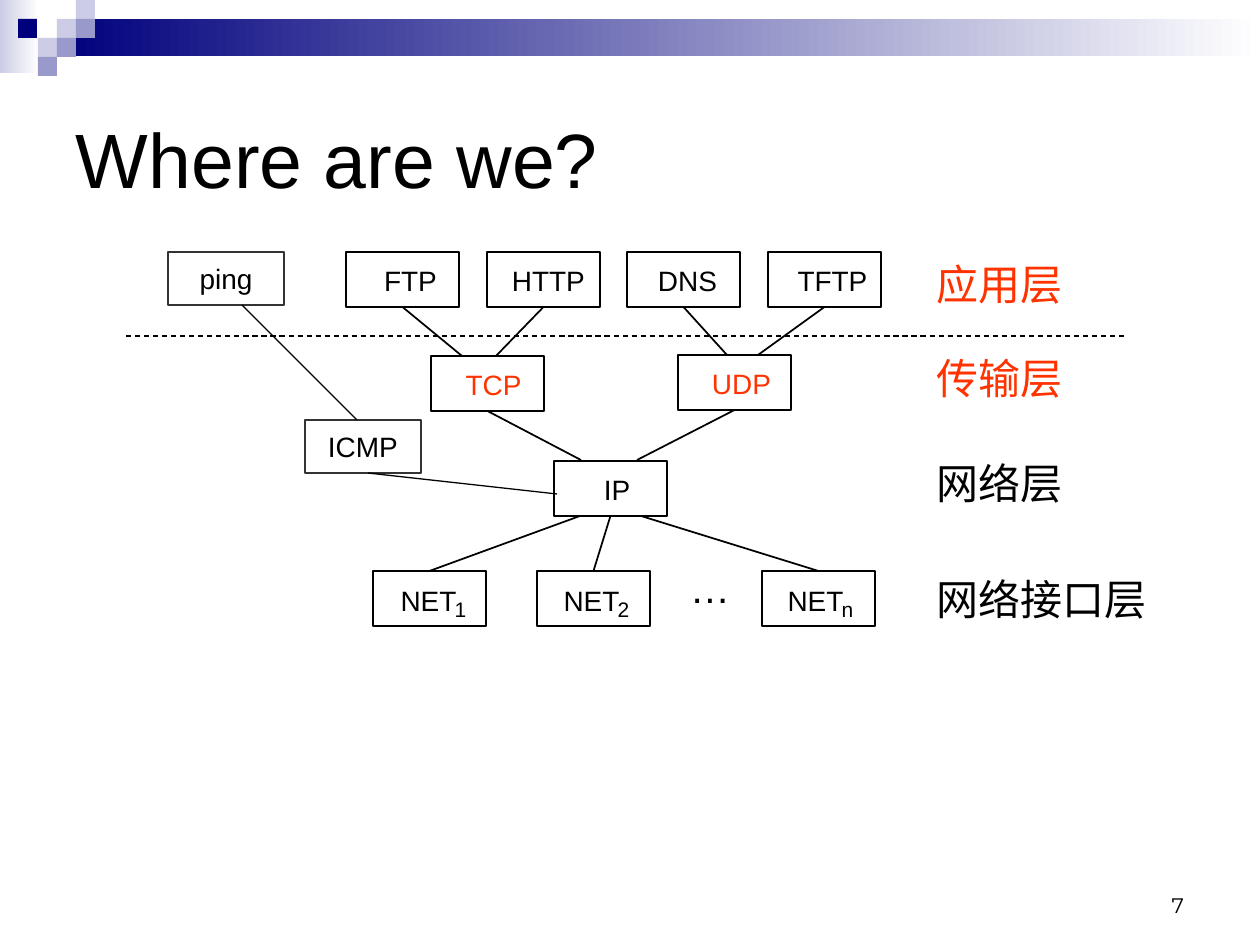
from typing import NamedTuple, Optional

from lxml import etree
from pptx import Presentation
from pptx.dml.color import RGBColor
from pptx.enum.dml import MSO_LINE
from pptx.enum.shapes import MSO_CONNECTOR, MSO_SHAPE
from pptx.enum.text import MSO_ANCHOR, MSO_AUTO_SIZE, PP_ALIGN
from pptx.oxml.ns import qn
from pptx.util import Emu, Pt

PX_PER_INCH = 126
RECTANGLE = MSO_SHAPE.RECTANGLE
STRAIGHT = MSO_CONNECTOR.STRAIGHT
DASH = MSO_LINE.DASH
GROW = MSO_AUTO_SIZE.SHAPE_TO_FIT_TEXT
LEFT, CENTER, RIGHT = PP_ALIGN.LEFT, PP_ALIGN.CENTER, PP_ALIGN.RIGHT
TOP, MIDDLE, BOTTOM = MSO_ANCHOR.TOP, MSO_ANCHOR.MIDDLE, MSO_ANCHOR.BOTTOM
TOP_SIDE, BOTTOM_SIDE = 0, 2

BLACK = RGBColor(0x00, 0x00, 0x00)
WHITE = RGBColor(0xFF, 0xFF, 0xFF)
GRAY = RGBColor(0x33, 0x33, 0x33)
RED = RGBColor(0xFF, 0x33, 0x00)
NAVY = RGBColor(0x00, 0x00, 0x7D)
LAVENDER = RGBColor(0xCC, 0xCC, 0xE6)
VIOLET = RGBColor(0x99, 0x99, 0xCC)

BOX_WIDTH, BOX_HEIGHT = 113, 55
HOST_WIDTH, HOST_HEIGHT = 116, 53
TILE = 19
INSET_X, INSET_Y = 13, 6
LABEL_SLACK = 2


class Area(NamedTuple):
    left: int
    top: int
    width: int
    height: int


class Style(NamedTuple):
    size: int
    font: str = "Arial"
    color: RGBColor = BLACK
    align: PP_ALIGN = LEFT
    anchor: MSO_ANCHOR = TOP


class Protocol(NamedTuple):
    key: str
    left: int
    top: int
    label: str
    label_left: int
    label_width: int
    color: RGBColor = BLACK
    subscript: str = ""


class Link(NamedTuple):
    start: tuple[int, int]
    end: tuple[int, int]
    start_box: Optional[str] = None
    end_box: Optional[str] = None


PROTOCOLS = [
    Protocol("FTP", 346, 252, "FTP", 384, 53),
    Protocol("HTTP", 487, 252, "HTTP", 512, 73),
    Protocol("DNS", 627, 252, "DNS", 658, 59),
    Protocol("TFTP", 768, 252, "TFTP", 798, 69),
    Protocol("TCP", 431, 356, "TCP", 466, 55, RED),
    Protocol("UDP", 678, 355, "UDP", 712, 59, RED),
    Protocol("IP", 554, 461, "IP", 604, 26),
    Protocol("NET1", 373, 571, "NET", 401, 55, subscript="1"),
    Protocol("NET2", 537, 571, "NET", 564, 55, subscript="2"),
    Protocol("NETn", 762, 571, "NET", 788, 55, subscript="n"),
]
# Named boxes hold the link at the bottom (start) or top (end) midpoint
LINKS = [
    Link((403, 307), (462, 356), "FTP"),
    Link((543, 307), (496, 356), "HTTP"),
    Link((684, 307), (727, 355), "DNS"),
    Link((824, 307), (758, 355), "TFTP"),
    Link((487, 411), (581, 460), "TCP"),
    Link((734, 410), (637, 460), "UDP"),
    Link((580, 516), (430, 571), end_box="NET1"),
    Link((610, 516), (593, 571), "IP", "NET2"),
    Link((641, 516), (818, 571), end_box="NETn"),
]
HOST_LINKS = [Link((242, 305), (357, 420)), Link((368, 473), (557, 494))]
HOSTS = [("ICMP", 305, 420), ("ping", 168, 252)]
LAYERS = [("应用层", 253, RED), ("传输层", 347, RED),
          ("网络层", 452, BLACK), ("网络接口层", 568, BLACK)]
TILES = [(57, 19, LAVENDER), (76, 0, LAVENDER), (76, 19, VIOLET),
         (38, 38, LAVENDER), (18, 19, NAVY), (57, 38, VIOLET), (38, 57, VIOLET)]


def px(value: int) -> Emu:
    return Emu(round(value * 914400 / PX_PER_INCH))


def add_rectangle(slide, area: Area):
    box = slide.shapes.add_shape(RECTANGLE, *map(px, area))
    box.shadow.inherit = False
    box.fill.background()
    box.line.fill.background()
    return box


def add_gradient_bar(slide, area: Area, color: RGBColor) -> None:
    bar = add_rectangle(slide, area)
    bar.fill.gradient()
    bar.fill.gradient_angle = 0
    for stop, shade in zip(bar.fill.gradient_stops, (color, WHITE)):
        stop.color.rgb = shade


def add_outline(slide, area: Area, color: RGBColor, width: float):
    box = add_rectangle(slide, area)
    box.line.color.rgb = color
    box.line.width = Pt(width)
    return box


def write(box, text: str, style: Style, wrap: bool = True, inset: bool = True):
    frame = box.text_frame
    frame.word_wrap = wrap
    frame.vertical_anchor = style.anchor
    frame.margin_left = frame.margin_right = px(INSET_X if inset else 0)
    frame.margin_top = frame.margin_bottom = px(INSET_Y if inset else 0)
    para = frame.paragraphs[0]
    para.text = text
    para.alignment = style.align
    para.font.size = Pt(style.size)
    para.font.name = style.font
    para.font.color.rgb = style.color
    return para


def add_text(slide, area: Area, text: str, style: Style):
    return write(slide.shapes.add_textbox(*map(px, area)), text, style)


def add_label(slide, area: Area, text: str, size: int, color: RGBColor = BLACK) -> None:
    roomy = area._replace(left=area.left - LABEL_SLACK, width=area.width + 2 * LABEL_SLACK)
    box = slide.shapes.add_textbox(*map(px, roomy))
    write(box, text, Style(size, color=color, align=CENTER), wrap=False, inset=False)
    box.text_frame.auto_size = GROW


def add_protocol(slide, item: Protocol):
    box = add_outline(slide, Area(item.left, item.top, BOX_WIDTH, BOX_HEIGHT), BLACK, 1)
    add_label(slide, Area(item.label_left, item.top + 12, item.label_width, 34),
              item.label, 16, item.color)
    if item.subscript:
        add_label(slide, Area(item.label_left + item.label_width - 1, item.top + 26, 11, 25),
                  item.subscript, 12)
    return box


def add_link(slide, link: Link, boxes: dict, width: float):
    line = slide.shapes.add_connector(STRAIGHT, *map(px, link.start + link.end))
    line.line.color.rgb = BLACK
    line.line.width = Pt(width)
    etree.SubElement(line._element.spPr, qn("a:effectLst"))
    if link.start_box:
        line.begin_connect(boxes[link.start_box], BOTTOM_SIDE)
    if link.end_box:
        line.end_connect(boxes[link.end_box], TOP_SIDE)
    return line


def main() -> None:
    deck = Presentation()
    deck.slide_width, deck.slide_height = px(1260), px(945)
    page = deck.slides.add_slide(deck.slide_layouts[6])

    # Header band and tiles
    add_gradient_bar(page, Area(0, 0, 39, 73), LAVENDER)
    add_gradient_bar(page, Area(57, 19, 1203, 37), NAVY)
    for left, top, color in TILES:
        tile = add_rectangle(page, Area(left, top, TILE, TILE))
        tile.fill.solid()
        tile.fill.fore_color.rgb = color

    # Title
    add_text(page, Area(63, 63, 1134, 189), "Where are we?", Style(44, anchor=MIDDLE))

    # Protocol graph
    boxes = {item.key: add_protocol(page, item) for item in PROTOCOLS}
    add_label(page, Area(690, 563, 40, 48), "…", 23)
    for link in LINKS:
        add_link(page, link, boxes, 1)
    for name, left, top in HOSTS:
        host = add_outline(page, Area(left, top, HOST_WIDTH, HOST_HEIGHT), GRAY, 0.75)
        write(host, name, Style(16, align=CENTER, anchor=MIDDLE), wrap=False)
    for link in HOST_LINKS:
        add_link(page, link, boxes, 0.75)

    # Layer names and divider
    for name, top, color in LAYERS:
        para = add_text(page, Area(924, top, 252, 63), name, Style(24, "Cabin", color))
        para.space_before = Pt(15)
    divider = add_link(page, Link((126, 336), (1124, 336)), boxes, 0.75)
    divider.line.dash_style = DASH

    # Slide number
    add_text(page, Area(903, 861, 294, 63), "7",
             Style(12, "Montserrat", align=RIGHT, anchor=BOTTOM))
    deck.save("out.pptx")


if __name__ == "__main__":
    main()
